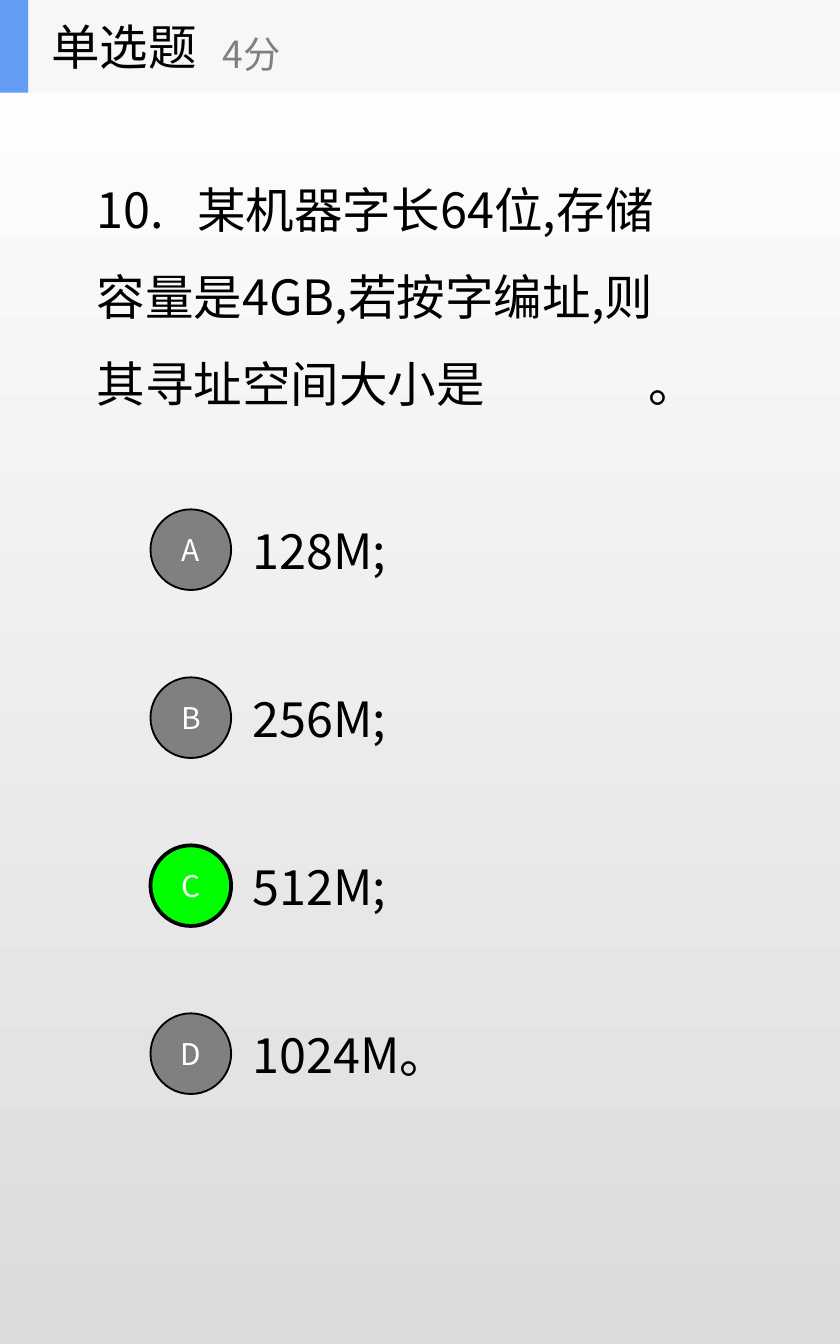
from dataclasses import dataclass

import lxml.etree
import pptx
import pptx.dml.color
import pptx.enum.shapes
import pptx.enum.text
import pptx.oxml
import pptx.oxml.ns
import pptx.util

Pt = pptx.util.Pt
MIDDLE = pptx.enum.text.MSO_ANCHOR.MIDDLE
LEFT = pptx.enum.text.PP_ALIGN.LEFT
CENTER = pptx.enum.text.PP_ALIGN.CENTER


def rgb(value):
    return pptx.dml.color.RGBColor.from_string(value)


@dataclass(frozen=True)
class Theme:
    font: str = "Noto Sans CJK SC"
    ink: str = "000000"
    muted: str = "808080"
    light: str = "FFFFFF"
    shade: str = "DCDCDC"
    band: str = "F6F7F8"
    accent: str = "639EF4"
    correct: str = "00FF00"
    body_size: int = 26
    score_size: int = 20
    badge_size: int = 16


class QuizSlide:
    def __init__(self, presentation, theme):
        self.theme = theme
        self.slide = presentation.slides.add_slide(presentation.slide_layouts[5])

    def background(self):
        fill = self.slide.background.fill
        fill.gradient()
        fill.gradient_angle = 270
        for stop, color in zip(fill.gradient_stops, (self.theme.light, self.theme.shade)):
            stop.color.rgb = rgb(color)

    def style_runs(self, runs, size, color):
        for run in runs:
            run.font.size = Pt(size)
            run.font.name = self.theme.font
            run.font.color.rgb = rgb(color)
            properties = run._r.get_or_add_rPr()
            east_asian = lxml.etree.SubElement(properties, pptx.oxml.ns.qn("a:ea"))
            east_asian.set("typeface", self.theme.font)

    def fill_text(self, shape, text, size, color, alignment=LEFT):
        frame = shape.text_frame
        frame.text = text
        frame.word_wrap = True
        frame.vertical_anchor = MIDDLE
        paragraph = frame.paragraphs[0]
        paragraph.alignment = alignment
        self.style_runs(paragraph.runs, size, color)
        return paragraph

    def title(self, text, left, top, width, height):
        shape = self.slide.shapes.title
        shape.left, shape.top, shape.width, shape.height = map(Pt, (left, top, width, height))
        self.fill_text(shape, text, self.theme.body_size, self.theme.ink)
        shape.text_frame.auto_size = pptx.enum.text.MSO_AUTO_SIZE.NONE
        shape.element.getparent().append(shape.element)

    def text(self, text, left, top, width, height, size, color):
        box = self.slide.shapes.add_textbox(*map(Pt, (left, top, width, height)))
        return self.fill_text(box, text, size, color)

    def question(self, stem, ending, tab_stops, left, top, width, height):
        theme = self.theme
        paragraph = self.text(stem, left, top, width, height, theme.body_size, theme.ink)
        paragraph.line_spacing = 1.5
        tab_list = lxml.etree.SubElement(
            paragraph._p.get_or_add_pPr(), pptx.oxml.ns.qn("a:tabLst"))
        for position in tab_stops:
            tab = lxml.etree.SubElement(tab_list, pptx.oxml.ns.qn("a:tab"))
            tab.set("pos", str(int(Pt(position))))
            tab.set("algn", "l")
        blank = paragraph.add_run()
        blank.text = "\t"
        blank.font.underline = True
        paragraph.add_run().text = ending
        self.style_runs(paragraph.runs[1:], theme.body_size, theme.ink)

    def shape(self, kind, left, top, width, height, color):
        shape = self.slide.shapes.add_shape(kind, *map(Pt, (left, top, width, height)))
        shape.shadow.inherit = False
        shape.fill.solid()
        shape.fill.fore_color.rgb = rgb(color)
        shape.line.fill.background()
        return shape

    def bar(self, width, height, color):
        self.shape(pptx.enum.shapes.MSO_SHAPE.RECTANGLE, 0, 0, width, height, color)

    def badge(self, letter, left, top, diameter, is_correct):
        theme = self.theme
        shape = self.shape(pptx.enum.shapes.MSO_SHAPE.OVAL, left, top, diameter, diameter,
                           theme.correct if is_correct else theme.muted)
        shape.line.color.rgb = rgb(theme.ink)
        shape.line.width = Pt(2 if is_correct else 1)
        self.fill_text(shape, letter, theme.badge_size, theme.light, CENTER)


def main():
    theme = Theme()
    presentation = pptx.Presentation()
    presentation.slide_width = Pt(450)
    presentation.slide_height = Pt(720)
    quiz = QuizSlide(presentation, theme)
    quiz.background()

    quiz.question("10.\t某机器字长64位,存储容量是4GB,若按字编址,则其寻址空间大小是 ",
                  "\t。", (54, 284, 295.5), 44.64, 76.32, 337.68, 149.04)

    answers = {"A": "128M;", "B": "256M;", "C": "512M;", "D": "1024M。"}
    for index, (letter, answer) in enumerate(answers.items()):
        top = 272.88 + 90 * index
        width = 126.72 if letter == "D" else 91.44
        quiz.text(answer, 128.16, top + 2.88, width, 38.16, theme.body_size, theme.ink)
        quiz.badge(letter, 80.64, top, 43.2, letter == "C")

    header_height = 49.68
    quiz.bar(450, header_height, theme.band)
    quiz.bar(15.12, header_height, theme.accent)
    quiz.title("单选题", 20.16, 0, 149.76, header_height)
    quiz.text("4分", 112.32, 8.64, 180, 40.32, theme.score_size, theme.muted)
    presentation.save("out.pptx")


if __name__ == "__main__":
    main()
